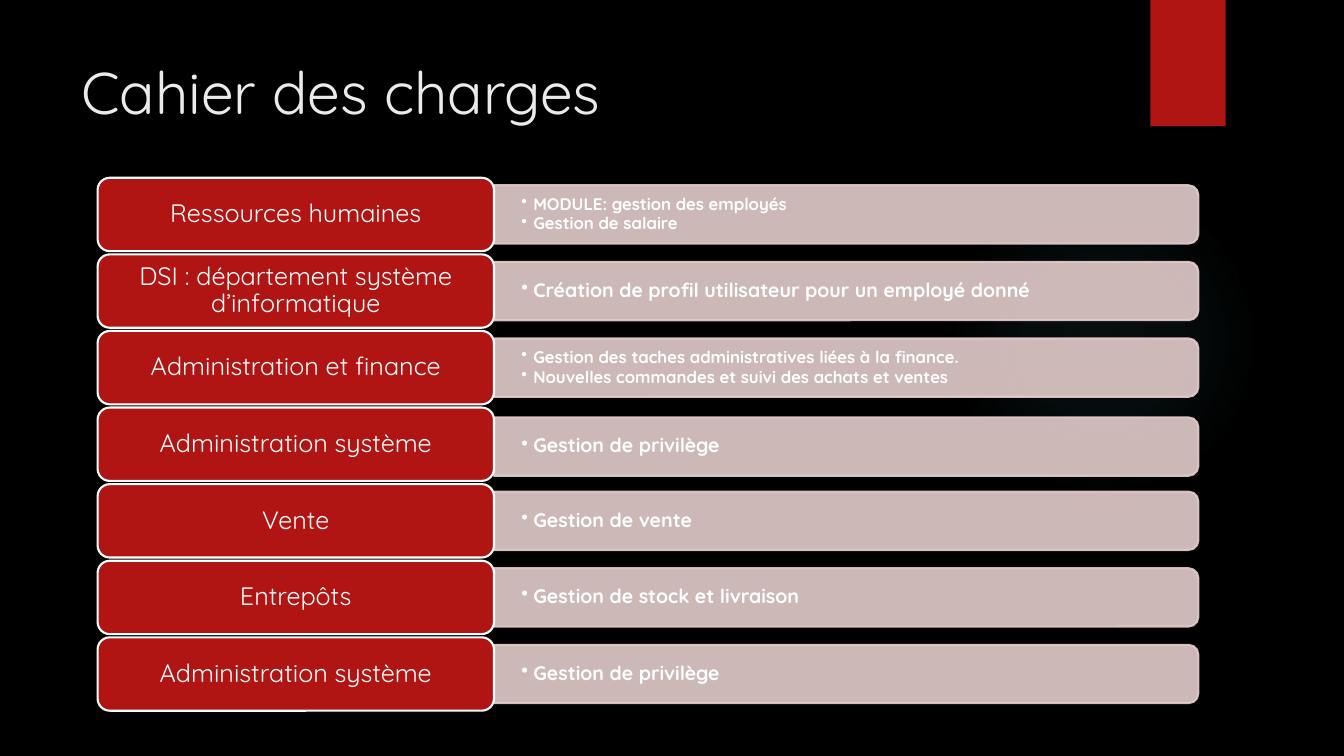
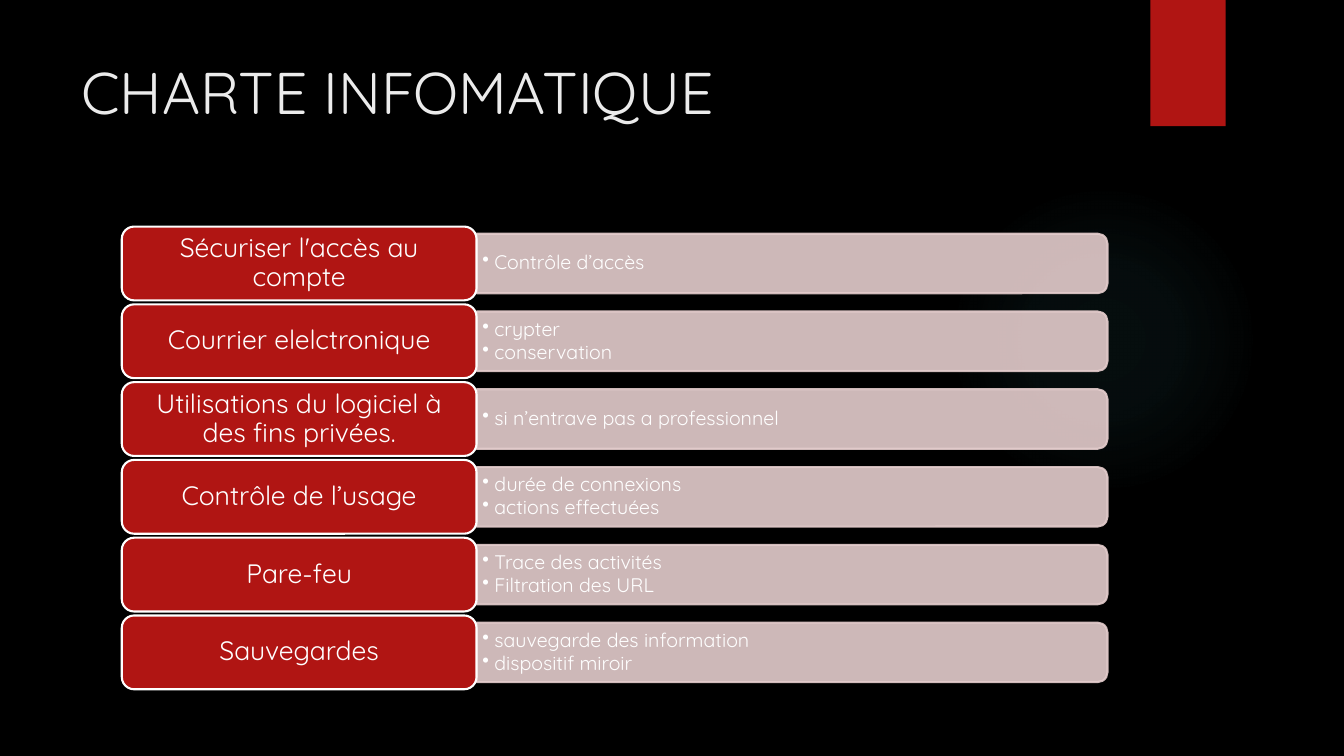
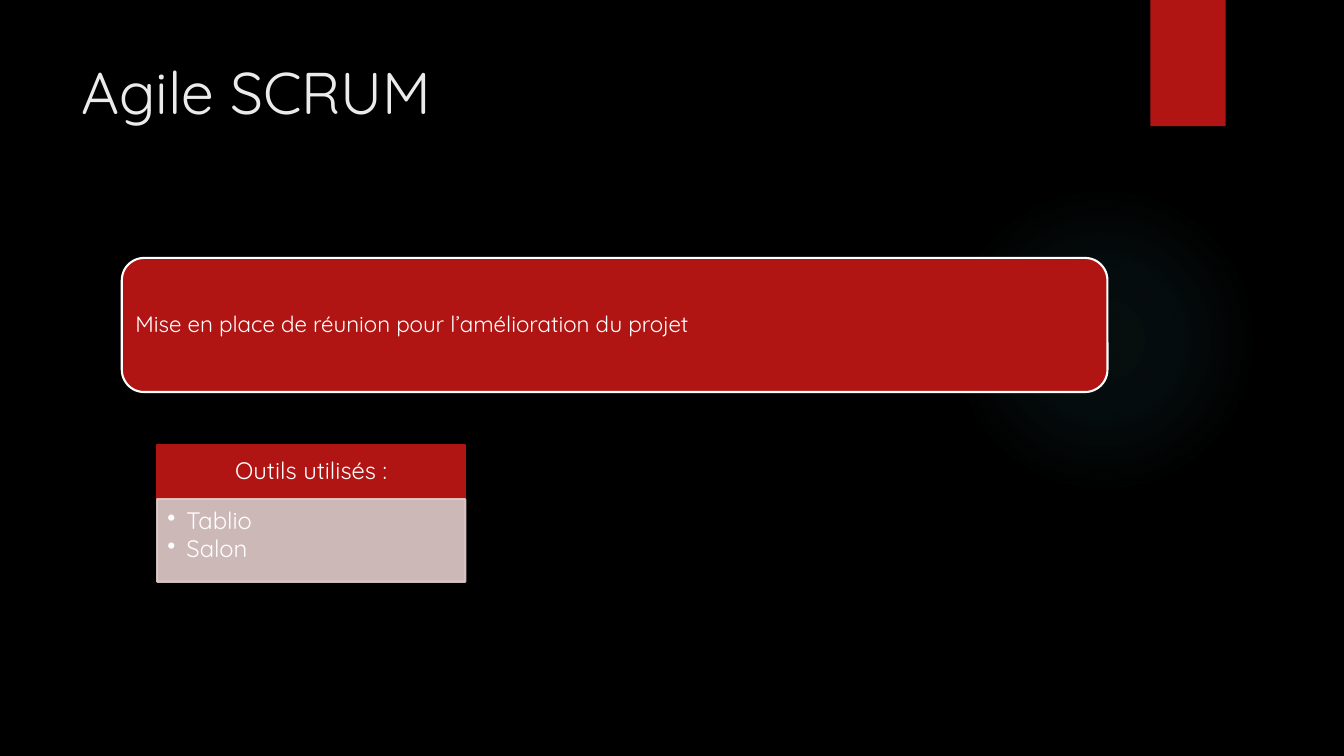
from dataclasses import dataclass

from lxml.etree import SubElement
from pptx import Presentation
from pptx.dml.color import RGBColor
from pptx.enum.shapes import MSO_SHAPE
from pptx.enum.text import MSO_ANCHOR, PP_ALIGN
from pptx.oxml import parse_xml
from pptx.oxml.ns import nsdecls, qn
from pptx.shapes.autoshape import Shape
from pptx.slide import Slide
from pptx.util import Cm, Pt

COLORS = {
    "background": "000000",
    "title": "EBEBEB",
    "text": "FFFFFF",
    "accent": "B01513",
    "panel": "E4CCCC",
    "glow": "50B9C1",
}
FONT = "Quicksand"
GLOW_STOPS = ((0, 7), (36, 6), (69, 0))  # position and opacity, in percent
PANEL_OPACITY = 90


@dataclass(frozen=True)
class Box:
    """A place on the page, in centimetres."""
    left: float
    top: float
    width: float
    height: float

    def lengths(self) -> tuple[Cm, Cm, Cm, Cm]:
        return Cm(self.left), Cm(self.top), Cm(self.width), Cm(self.height)


@dataclass(frozen=True)
class TextStyle:
    size: float
    color: str = "text"
    bold: bool = False
    align: PP_ALIGN = PP_ALIGN.LEFT
    anchor: MSO_ANCHOR = MSO_ANCHOR.MIDDLE
    side_inset: float = 0.18
    edge_inset: float = 0.1
    line_spacing: float = 0.9
    bullet_indent: float = 0


@dataclass(frozen=True)
class Row:
    heading: str
    details: tuple[str, ...]
    detail_size: float = 14
    detail_shift: float = 0


@dataclass(frozen=True)
class RowLayout:
    first_heading: Box
    pitch: float
    detail_width: float
    detail_height: float
    heading_size: float
    detail_inset: float
    bold_details: bool = False


def rgb(name: str) -> RGBColor:
    return RGBColor.from_string(COLORS[name])


def add_bullet(paragraph, indent: float) -> None:
    properties = paragraph._p.get_or_add_pPr()
    properties.set("marL", str(Cm(indent)))
    properties.set("indent", str(-Cm(indent)))
    SubElement(properties, qn("a:buChar"), char="•")


def write(shape: Shape, lines: tuple[str, ...], style: TextStyle) -> None:
    frame = shape.text_frame
    frame.word_wrap = True
    frame.vertical_anchor = style.anchor
    frame.margin_left = frame.margin_right = Cm(style.side_inset)
    frame.margin_top = frame.margin_bottom = Cm(style.edge_inset)
    for index, line in enumerate(lines):
        paragraph = frame.add_paragraph() if index else frame.paragraphs[0]
        paragraph.text = line
        if style.bullet_indent:
            add_bullet(paragraph, style.bullet_indent)
        paragraph.alignment = style.align
        paragraph.line_spacing = style.line_spacing
        if index:
            paragraph.space_before = Pt(style.size * 0.1)
        paragraph.font.name = FONT
        paragraph.font.size = Pt(style.size)
        paragraph.font.bold = style.bold
        paragraph.font.color.rgb = rgb(style.color)


def add_block(page: Slide, kind: MSO_SHAPE, box: Box, fill: str,
              line: str | None = None, opacity: int = 100) -> Shape:
    shape = page.shapes.add_shape(kind, *box.lengths())
    shape.shadow.inherit = False
    shape.fill.solid()
    shape.fill.fore_color.rgb = rgb(fill)
    if line:
        shape.line.color.rgb = rgb(line)
        shape.line.width = Pt(1.5)
    else:
        shape.line.fill.background()
    if opacity < 100:
        for color in shape.element.spPr.iter(qn("a:srgbClr")):
            SubElement(color, qn("a:alpha"), val=str(opacity * 1000))
    return shape


def add_text(page: Slide, box: Box, lines: tuple[str, ...], style: TextStyle) -> None:
    write(page.shapes.add_textbox(*box.lengths()), lines, style)


def add_glow(page: Slide) -> None:
    """Draw the faint round light that fades out towards its edge."""
    glow = add_block(page, MSO_SHAPE.OVAL, Box(23.9, 4.65, 7.82, 7.82), "glow")
    stops = "".join(
        f'<a:gs pos="{position * 1000}"><a:srgbClr val="{COLORS["glow"]}">'
        f'<a:alpha val="{opacity * 1000}"/></a:srgbClr></a:gs>'
        for position, opacity in GLOW_STOPS
    )
    gradient = parse_xml(
        f'<a:gradFill {nsdecls("a")}><a:gsLst>{stops}</a:gsLst><a:path path="circle">'
        '<a:fillToRect l="50000" t="50000" r="50000" b="50000"/></a:path></a:gradFill>'
    )
    properties = glow.element.spPr
    properties.replace(properties.find(qn("a:solidFill")), gradient)


def add_page(deck: Presentation, title: str) -> Slide:
    page = deck.slides.add_slide(deck.slide_layouts[6])
    add_glow(page)
    add_block(page, MSO_SHAPE.RECTANGLE, Box(28.99, 0, 1.9, 3.18), "accent")
    style = TextStyle(42, "title", anchor=MSO_ANCHOR.TOP, side_inset=0.25,
                      edge_inset=0.13, line_spacing=1)
    add_text(page, Box(1.8, 1.27, 26.14, 2.41), (title,), style)
    return page


def add_detail_panel(page: Slide, box: Box) -> None:
    """Turn a shape with two round top corners so that they face right."""
    upright = Box(box.left + (box.width - box.height) / 2,
                  box.top + (box.height - box.width) / 2, box.height, box.width)
    panel = add_block(page, MSO_SHAPE.ROUND_2_SAME_RECTANGLE, upright,
                      "panel", "panel", PANEL_OPACITY)
    panel.rotation = 90


def add_rows(page: Slide, rows: tuple[Row, ...], layout: RowLayout) -> None:
    first = layout.first_heading
    heading_style = TextStyle(layout.heading_size, align=PP_ALIGN.CENTER)
    for index, row in enumerate(rows):
        heading_box = Box(first.left, first.top + index * layout.pitch,
                          first.width, first.height)
        detail_top = (heading_box.top + row.detail_shift
                      + (first.height - layout.detail_height) / 2)
        detail_box = Box(first.left + first.width, detail_top,
                         layout.detail_width, layout.detail_height)
        add_detail_panel(page, detail_box)
        detail_style = TextStyle(row.detail_size, bold=layout.bold_details,
                                 side_inset=layout.detail_inset, edge_inset=0.08,
                                 bullet_indent=0.3)
        add_text(page, detail_box, row.details, detail_style)
        heading = add_block(page, MSO_SHAPE.ROUNDED_RECTANGLE, heading_box, "accent", "text")
        write(heading, (row.heading,), heading_style)


def add_requirements(deck: Presentation) -> None:
    rows = (
        Row("Ressources humaines",
            ("MODULE: gestion des employés", "Gestion de salaire"), 12),
        Row("DSI : département système d’informatique",
            ("Création de profil utilisateur pour un employé donné",)),
        Row("Administration et finance",
            ("Gestion des taches administratives liées à la finance.",
             "Nouvelles commandes et suivi des achats et ventes"), 12),
        Row("Administration système", ("Gestion de privilège",), detail_shift=0.06),
        Row("Vente", ("Gestion de vente",)),
        Row("Entrepôts", ("Gestion de stock et livraison",)),
        Row("Administration système", ("Gestion de privilège",)),
    )
    layout = RowLayout(Box(2.46, 4.48, 9.99, 1.85), 1.93, 17.75, 1.47, 18, 0.69, True)
    add_rows(add_page(deck, "Cahier des charges"), rows, layout)


def add_charter(deck: Presentation) -> None:
    rows = (
        Row("Sécuriser l'accès au compte", ("Contrôle d’accès",)),
        Row("Courrier elelctronique", ("crypter", "conservation")),
        Row("Utilisations du logiciel à des fins privées.",
            ("si n’entrave pas a professionnel",)),
        Row("Contrôle de l’usage", ("durée de connexions", "actions effectuées")),
        Row("Pare-feu", ("Trace des activités", "Filtration des URL")),
        Row("Sauvegardes", ("sauvegarde des information", "dispositif miroir")),
    )
    layout = RowLayout(Box(3.07, 5.71, 8.94, 1.86), 1.96, 15.9, 1.5, 19, 0.15)
    add_rows(add_page(deck, "CHARTE INFOMATIQUE"), rows, layout)


def add_agile(deck: Presentation) -> None:
    page = add_page(deck, "Agile SCRUM")
    meeting = add_block(page, MSO_SHAPE.ROUNDED_RECTANGLE,
                        Box(3.07, 6.5, 24.84, 3.38), "accent", "text")
    write(meeting, ("Mise en place de réunion pour l’amélioration du projet",), TextStyle(16))

    tools_heading = add_block(page, MSO_SHAPE.RECTANGLE,
                              Box(3.96, 11.22, 7.77, 1.36), "accent", "accent")
    write(tools_heading, ("Outils utilisés :",), TextStyle(17, align=PP_ALIGN.CENTER))
    tools = add_block(page, MSO_SHAPE.RECTANGLE, Box(3.96, 12.58, 7.77, 2.08),
                      "panel", "panel", PANEL_OPACITY)
    write(tools, ("Tablio", "Salon"),
          TextStyle(17, anchor=MSO_ANCHOR.TOP, side_inset=0.26, edge_inset=0.25,
                    bullet_indent=0.48))


def main() -> None:
    deck = Presentation()
    deck.slide_width, deck.slide_height = Cm(33.87), Cm(19.05)
    backdrop = deck.slide_master.background.fill
    backdrop.solid()
    backdrop.fore_color.rgb = rgb("background")
    add_requirements(deck)
    add_charter(deck)
    add_agile(deck)
    deck.save("out.pptx")


if __name__ == "__main__":
    main()
